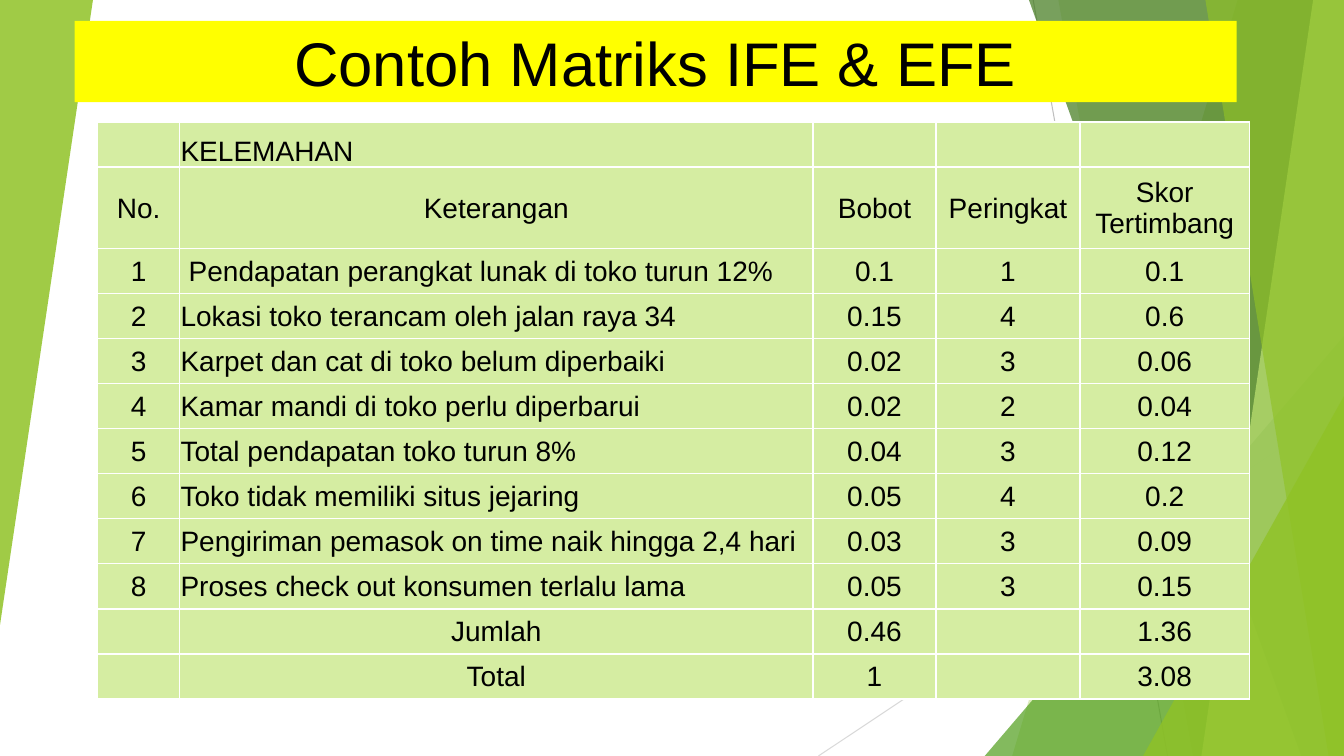
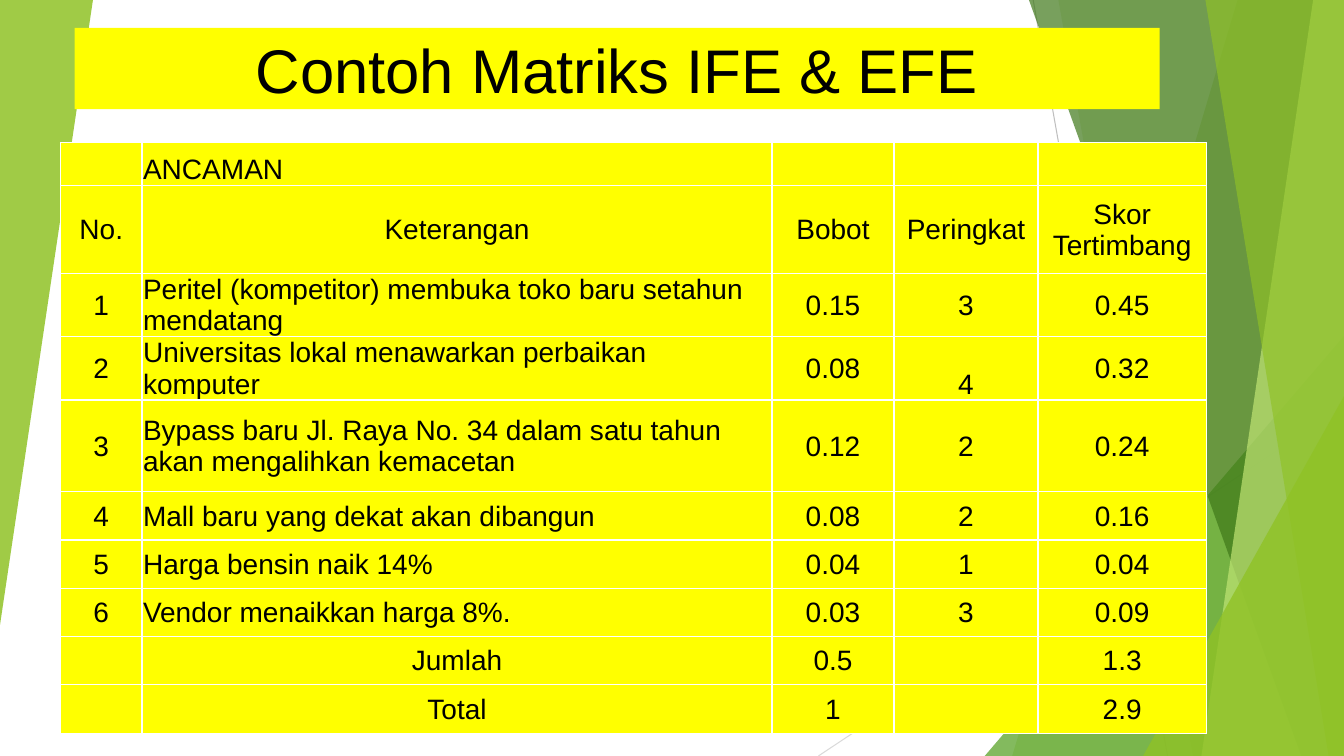
from dataclasses import dataclass

from lxml import etree
from pptx import Presentation
from pptx.dml.color import RGBColor
from pptx.enum.shapes import MSO_CONNECTOR as CONN, MSO_SHAPE as SHAPE
from pptx.enum.text import MSO_ANCHOR as ANCHOR, PP_ALIGN as ALIGN
from pptx.oxml.ns import qn
from pptx.util import Pt


@dataclass(frozen=True)
class Theme:
    font: str = "Arial"
    title_size: int = 44
    table_size: int = 20
    text: str = "000000"
    banner: str = "FFFF00"
    border: str = "FFFFFF"
    mint: str = "D5EDA2"
    green: str = "90C226"
    leaf: str = "54A021"
    forest: str = "3F7819"
    lime: str = "C0E474"
    gray: str = "BFBFBF"
    pale_gray: str = "D9D9D9"


T = Theme()
W, H = 960, 540
TITLE = "Contoh Matriks IFE & EFE"
HEADER = ("No.", "Keterangan", "Bobot", "Peringkat", "Skor Tertimbang")

SLIDES = [
    dict(
        banner=(53.3, 15, 830, 58),
        origin=(69.8, 87.1),
        fill=T.mint,
        cols=(58.5, 452.5, 87.8, 102.9, 121),
        rows=(32.2, 58.3) + (32.2,) * 10,
        heading="KELEMAHAN",
        items=[
            ("Pendapatan perangkat lunak di toko turun 12%", "0.1", "1", "0.1"),
            ("Lokasi toko terancam oleh jalan raya 34", "0.15", "4", "0.6"),
            ("Karpet dan cat di toko belum diperbaiki", "0.02", "3", "0.06"),
            ("Kamar mandi di toko perlu diperbarui", "0.02", "2", "0.04"),
            ("Total pendapatan toko turun 8%", "0.04", "3", "0.12"),
            ("Toko tidak memiliki situs jejaring", "0.05", "4", "0.2"),
            ("Pengiriman pemasok on time naik hingga 2,4 hari", "0.03", "3", "0.09"),
            ("Proses check out konsumen terlalu lama", "0.05", "3", "0.15"),
        ],
        sums=[("Jumlah", "0.46", "", "1.36"), ("Total", "1", "", "3.08")],
        indented=[(2, 1)],
        bottom=[(0, 1)],
    ),
    dict(
        banner=(53.3, 20, 775, 58),
        origin=(43.2, 101.7),
        fill=T.banner,
        cols=(58.3, 450, 87.1, 102.9, 120.2),
        rows=(31, 62.4, 45.3, 45.3, 65.5) + (34.5,) * 5,
        heading="ANCAMAN",
        items=[
            ("Peritel (kompetitor) membuka toko baru setahun mendatang", "0.15", "3", "0.45"),
            ("Universitas lokal menawarkan perbaikan komputer", "0.08", "4", "0.32"),
            ("Bypass baru Jl. Raya No. 34 dalam satu tahun akan mengalihkan kemacetan", "0.12", "2", "0.24"),
            ("Mall baru yang dekat akan dibangun", "0.08", "2", "0.16"),
            ("Harga bensin naik 14%", "0.04", "1", "0.04"),
            ("Vendor menaikkan harga 8%.", "0.03", "3", "0.09"),
        ],
        sums=[("Jumlah", "0.5", "", "1.3"), ("Total", "1", "", "2.9")],
        indented=[],
        bottom=[(0, 1), (3, 3)],
    ),
]

RAYS = [
    ((738, 0), (834, H), T.gray),
    ((W, 290), (584.6, H), T.pale_gray),
]
FACETS = [
    ("band", (884, 723), T.green, 30),
    ("band", (756, 852), T.green, 20),
    ("triangle", (703.4, 240, 256.6, 300, 0), T.leaf, 72),
    ("band", (735, 929.5), T.forest, 70),
    ("band", (938, 858.2), T.lime, 70),
    ("band", (861, 949), T.green, 65),
    ("triangle", (816.5, 283, 143.5, 257, 0), T.green, 80),
    ("triangle", (0, 0, 66.4, 446.4, 180), T.green, 85),
]


def rgb(value):
    return RGBColor.from_string(value)


def write(tf, text, size=T.table_size, align=ALIGN.CENTER):
    tf.word_wrap = True
    p = tf.paragraphs[0]
    p.alignment = align
    p.font.size = Pt(size)
    if text:
        r = p.add_run()
        r.text = text
        r.font.name = T.font
        r.font.size = Pt(size)
        r.font.color.rgb = rgb(T.text)


def paint(sp, color, opacity=100):
    sp.shadow.inherit = False
    sp.line.fill.background()
    sp.fill.solid()
    sp.fill.fore_color.rgb = rgb(color)
    if opacity < 100:
        clr = sp.element.spPr.find(qn("a:solidFill"))[0]
        etree.SubElement(clr, qn("a:alpha"), val=str(opacity * 1000))


def add_band(shapes, top_x, bottom_x):
    outline = shapes.build_freeform(Pt(top_x), 0)
    outline.add_line_segments([(Pt(x), Pt(y)) for x, y in ((W, 0), (W, H), (bottom_x, H))])
    return outline.convert_to_shape()


def add_triangle(shapes, x, y, w, h, rotation):
    sp = shapes.add_shape(SHAPE.ISOSCELES_TRIANGLE, Pt(x), Pt(y), Pt(w), Pt(h))
    sp.adjustments[0] = 1
    sp.rotation = rotation
    return sp


def add_backdrop(shapes):
    for start, end, color in RAYS:
        ray = shapes.add_connector(CONN.STRAIGHT, *map(Pt, start + end))
        ray.line.color.rgb = rgb(color)
        ray.line.width = Pt(0.75)
        etree.SubElement(ray.element.spPr, qn("a:effectLst"))
    makers = {"band": add_band, "triangle": add_triangle}
    for kind, geometry, color, opacity in FACETS:
        paint(makers[kind](shapes, *geometry), color, opacity)


def add_banner(shapes, box):
    sp = shapes.add_shape(SHAPE.RECTANGLE, *map(Pt, box))
    paint(sp, T.banner)
    sp.text_frame.vertical_anchor = ANCHOR.MIDDLE
    write(sp.text_frame, TITLE, size=T.title_size)


def add_borders(cell):
    tc_pr = cell._tc.get_or_add_tcPr()
    for i, side in enumerate(("lnL", "lnR", "lnT", "lnB")):
        ln = etree.Element(qn(f"a:{side}"), w=str(Pt(1)))
        fill = etree.SubElement(ln, qn("a:solidFill"))
        etree.SubElement(fill, qn("a:srgbClr"), val=T.border)
        tc_pr.insert(i, ln)


def add_matrix(shapes, data):
    numbered = [(str(n), *item) for n, item in enumerate(data["items"], 1)]
    totals = [("", *line) for line in data["sums"]]
    grid = [("", data["heading"], "", "", ""), HEADER, *numbered, *totals]
    left_rows = {0, *range(2, 2 + len(numbered))}
    cols, rows = data["cols"], data["rows"]
    frame = shapes.add_table(len(rows), len(cols), *map(Pt, data["origin"]), Pt(sum(cols)), Pt(sum(rows)))
    table = frame.table
    table.first_row = table.horz_banding = False
    for col, width in zip(table.columns, cols):
        col.width = Pt(width)
    for row, height in zip(table.rows, rows):
        row.height = Pt(height)
    for i, values in enumerate(grid):
        for j, text in enumerate(values):
            cell = table.cell(i, j)
            cell.margin_left = Pt(6.5 if (i, j) in data["indented"] else 0.7)
            cell.margin_right = cell.margin_top = Pt(0.7)
            cell.margin_bottom = 0
            cell.vertical_anchor = ANCHOR.BOTTOM if (i, j) in data["bottom"] else ANCHOR.MIDDLE
            cell.fill.solid()
            cell.fill.fore_color.rgb = rgb(data["fill"])
            add_borders(cell)
            is_left = j == 1 and i in left_rows
            write(cell.text_frame, text, align=ALIGN.LEFT if is_left else ALIGN.CENTER)


def main():
    prs = Presentation()
    prs.slide_width, prs.slide_height = Pt(W), Pt(H)
    for data in SLIDES:
        s = prs.slides.add_slide(prs.slide_layouts[6])
        add_backdrop(s.shapes)
        add_banner(s.shapes, data["banner"])
        add_matrix(s.shapes, data)
    prs.save("out.pptx")


if __name__ == "__main__":
    main()
